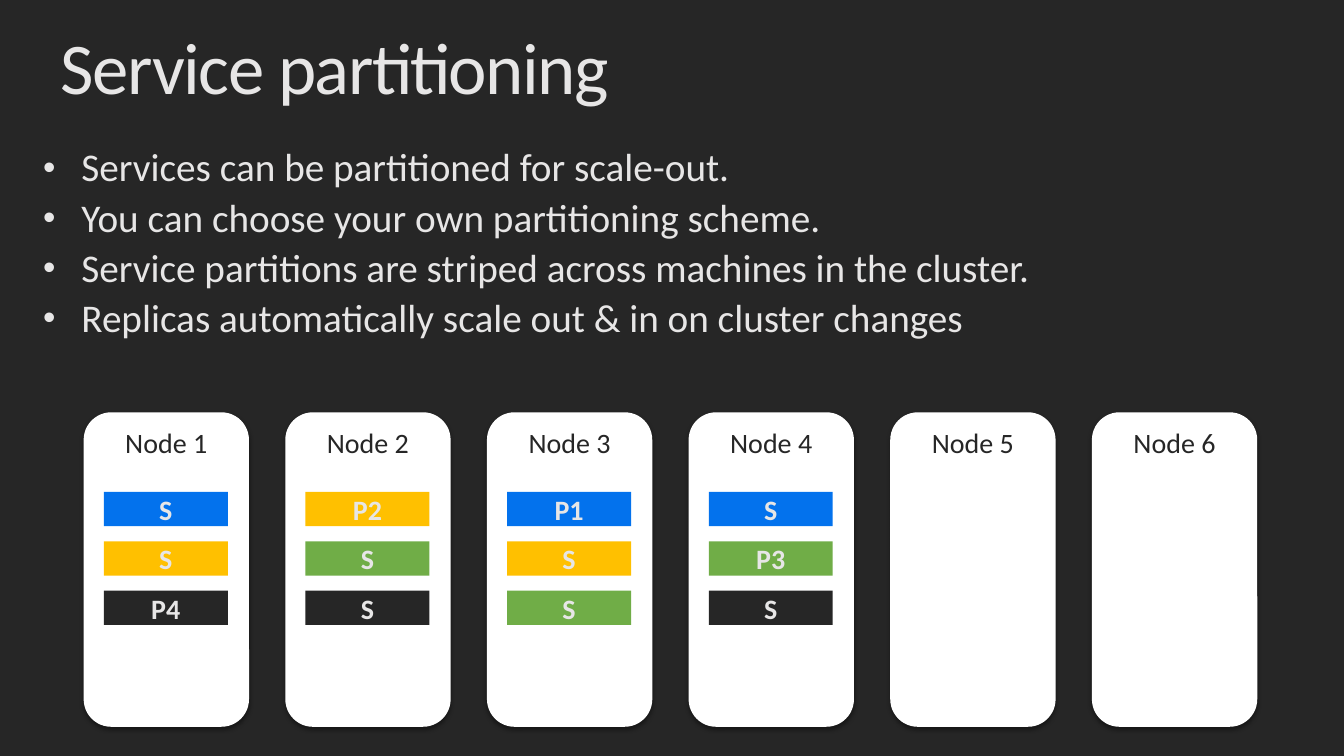
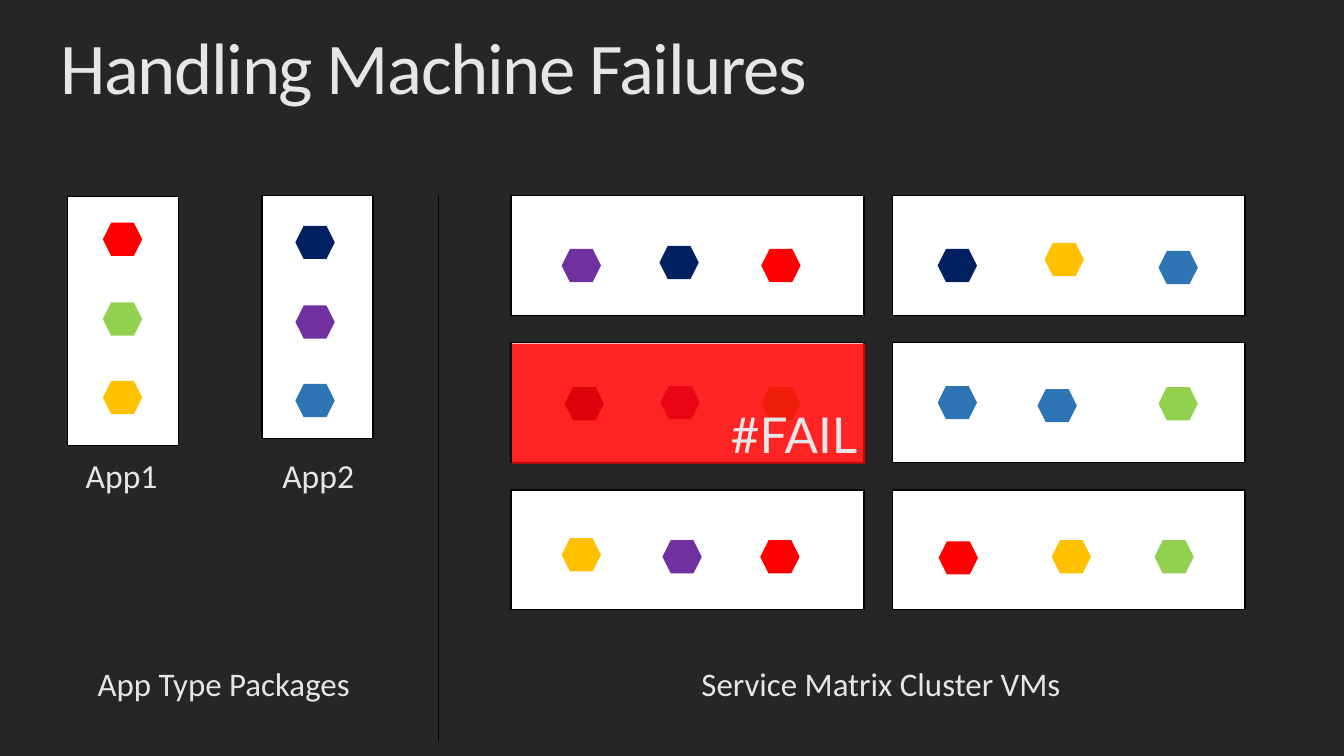
from lxml import etree
from pptx import Presentation
from pptx.dml.color import RGBColor
from pptx.enum import shapes, text
from pptx.oxml import ns
from pptx.util import Inches, Pt

# Shared style
DARK = RGBColor(0x26, 0x26, 0x26)
LIGHT = RGBColor(0xE7, 0xE6, 0xE6)
WHITE = RGBColor(0xFF, 0xFF, 0xFF)
BLACK = RGBColor(0x00, 0x00, 0x00)
RED = RGBColor(0xFF, 0x00, 0x00)
AMBER = RGBColor(0xFF, 0xC0, 0x00)
GREEN = RGBColor(0x70, 0xAD, 0x47)
BRIGHT_BLUE = RGBColor(0x03, 0x72, 0xED)
LIME = RGBColor(0x92, 0xD0, 0x50)
NAVY = RGBColor(0x00, 0x20, 0x60)
PURPLE = RGBColor(0x70, 0x30, 0xA0)
STEEL = RGBColor(0x2E, 0x75, 0xB6)
FONT = "Calibri"
RECTANGLE = shapes.MSO_SHAPE.RECTANGLE
CENTER = text.PP_ALIGN.CENTER

# Content: service partitioning
BULLETS = [
    "Services can be partitioned for scale-out.",
    "You can choose your own partitioning scheme.",
    "Service partitions are striped across machines in the cluster.",
    "Replicas automatically scale out & in on cluster changes",
]
NODES = [
    ("Node 1", [("S", BRIGHT_BLUE), ("S", AMBER), ("P4", DARK)]),
    ("Node 2", [("P2", AMBER), ("S", GREEN), ("S", DARK)]),
    ("Node 3", [("P1", BRIGHT_BLUE), ("S", AMBER), ("S", GREEN)]),
    ("Node 4", [("S", BRIGHT_BLUE), ("P3", GREEN), ("S", DARK)]),
    ("Node 5", []),
    ("Node 6", []),
]

# Content: machine failures; services are (colour, left, top)
APPS = [
    ("App1", (0.67, 1.95, 1.1, 2.47), 0.65,
     [(RED, 1.02, 2.21), (LIME, 1.02, 3.0), (AMBER, 1.02, 3.78)]),
    ("App2", (2.6, 1.94, 1.1, 2.41), 2.6,
     [(NAVY, 2.93, 2.24), (PURPLE, 2.93, 3.03), (STEEL, 2.93, 3.81)]),
]
MACHINES = [  # rows of two machines
    [[(PURPLE, 5.57, 2.47), (NAVY, 6.54, 2.44), (RED, 7.55, 2.47)],
     [(NAVY, 9.3, 2.47), (AMBER, 10.36, 2.41), (STEEL, 11.49, 2.49)]],
    [[(NAVY, 5.6, 3.84), (PURPLE, 6.55, 3.83), (LIME, 7.55, 3.84)],
     [(STEEL, 9.3, 3.83), (STEEL, 10.29, 3.86), (LIME, 11.49, 3.84)]],
    [[(AMBER, 5.57, 5.34), (PURPLE, 6.57, 5.36), (RED, 7.54, 5.36)],
     [(RED, 9.31, 5.37), (AMBER, 10.43, 5.36), (LIME, 11.45, 5.36)]],
]
CAPTIONS = [
    ("App Type Packages", (0.29, 6.47, 3.86, 0.67)),
    ("Service Matrix Cluster VMs", (4.69, 6.47, 8.1, 0.67)),
]
MACHINE_LEFT, MACHINE_TOP = 5.07, 1.94
MACHINE_WIDTH, MACHINE_HEIGHT = 3.5, 1.19
MACHINE_STEP_X, MACHINE_STEP_Y = 3.78, 1.46


def add_xml(parent, tag, **attributes):
    return etree.SubElement(parent, ns.qn(tag), attributes)


def add_run(paragraph, words, size, color=LIGHT, bold=False, font=FONT):
    run = paragraph.add_run()
    run.text = words
    run.font.name = font
    run.font.size = Pt(size)
    run.font.bold = bold
    run.font.color.rgb = color
    return run


def add_box(slide, kind, box, fill, line=None):
    shape = slide.shapes.add_shape(kind, *map(Inches, box))
    shape.shadow.inherit = False
    shape.fill.solid()
    shape.fill.fore_color.rgb = fill
    if line is None:
        shape.line.fill.background()
    else:
        shape.line.color.rgb = line
        shape.line.width = Pt(1)
    return shape


def label_box(shape, words, color, anchor, bold=False):
    shape.text_frame.vertical_anchor = anchor
    paragraph = shape.text_frame.paragraphs[0]
    paragraph.alignment = CENTER
    add_run(paragraph, words, 20, color, bold)


def add_label(slide, words, box, size, align=None, font=FONT):
    frame = slide.shapes.add_textbox(*map(Inches, box)).text_frame
    frame.word_wrap = True
    frame.margin_left = frame.margin_right = Inches(0.2)
    frame.margin_top = frame.margin_bottom = Inches(0.16)
    paragraph = frame.paragraphs[0]
    paragraph.alignment = align
    paragraph.line_spacing = 0.9
    add_run(paragraph, words, size, font=font)


def add_titled_slide(presentation, title):
    slide = presentation.slides.add_slide(presentation.slide_layouts[5])
    shape = slide.shapes.title
    shape.left, shape.top = Inches(0.5), Inches(0.2)
    shape.width, shape.height = Inches(12), Inches(1)
    frame = shape.text_frame
    frame.vertical_anchor = text.MSO_ANCHOR.MIDDLE
    frame.auto_size = text.MSO_AUTO_SIZE.NONE
    paragraph = frame.paragraphs[0]
    paragraph.alignment = text.PP_ALIGN.LEFT
    paragraph.line_spacing = 0.9
    run = add_run(paragraph, title, 52)
    run.font._element.set("spc", "-100")
    return slide


def add_card_shadow(shape):
    effects = shape._element.spPr.find(ns.qn("a:effectLst"))
    shadow = add_xml(effects, "a:outerShdw", blurRad=str(Pt(3)),
                     dist=str(Pt(2)), dir="5400000", rotWithShape="0")
    color = add_xml(shadow, "a:srgbClr", val=str(BLACK))
    add_xml(color, "a:alpha", val="40000")


def add_bullets(slide):
    box = slide.shapes.add_textbox(Inches(0.33), Inches(1.42), Inches(12.67), Inches(2))
    frame = box.text_frame
    frame.word_wrap = True
    for index, words in enumerate(BULLETS):
        paragraph = frame.add_paragraph() if index else frame.paragraphs[0]
        paragraph.line_spacing = 0.9
        if index:
            paragraph.space_before = Pt(5.6)
        properties = paragraph._p.get_or_add_pPr()
        properties.set("marL", str(Inches(0.38)))
        properties.set("indent", str(Inches(-0.38)))
        add_xml(properties, "a:buSzPct", val="90000")
        add_xml(properties, "a:buFont", typeface="Arial")
        add_xml(properties, "a:buChar", char="•")
        add_run(paragraph, words, 28)


def build_partitioning(presentation):
    slide = add_titled_slide(presentation, "Service partitioning")
    add_bullets(slide)
    # Nodes with their replicas
    for column, (name, replicas) in enumerate(NODES):
        left = 0.83 + 2 * column
        card = add_box(slide, shapes.MSO_SHAPE.ROUNDED_RECTANGLE,
                       (left, 4.09, 1.64, 3.12), WHITE)
        add_card_shadow(card)
        label_box(card, name, DARK, text.MSO_ANCHOR.TOP)
        for row, (role, color) in enumerate(replicas):
            replica = add_box(slide, RECTANGLE,
                              (left + 0.2, 4.88 + 0.49 * row, 1.23, 0.34), color)
            label_box(replica, role, LIGHT, text.MSO_ANCHOR.MIDDLE, bold=True)


def add_services(slide, services):
    for color, left, top in services:
        add_box(slide, shapes.MSO_SHAPE.HEXAGON, (left, top, 0.39, 0.33), color)


def build_failures(presentation):
    slide = add_titled_slide(presentation, "Handling Machine Failures")
    # Application packages
    for name, box, label_left, services in APPS:
        add_box(slide, RECTANGLE, box, WHITE, BLACK)
        add_services(slide, services)
        add_label(slide, name, (label_left, 4.4, 1.28, 0.67), 24)
    # Cluster machines
    for row, machines in enumerate(MACHINES):
        for column, services in enumerate(machines):
            add_box(slide, RECTANGLE,
                    (MACHINE_LEFT + column * MACHINE_STEP_X,
                     MACHINE_TOP + row * MACHINE_STEP_Y,
                     MACHINE_WIDTH, MACHINE_HEIGHT), WHITE, BLACK)
            add_services(slide, services)
    # Divider and captions
    divider = slide.shapes.add_connector(
        shapes.MSO_CONNECTOR.STRAIGHT,
        Inches(4.35), Inches(1.94), Inches(4.35), Inches(7.35))
    divider.line.color.rgb = BLACK
    divider.line.width = Pt(1)
    add_xml(divider._element.spPr, "a:effectLst")
    for words, box in CAPTIONS:
        add_label(slide, words, box, 23.5, CENTER)
    # Failed machine
    failure = add_box(slide, RECTANGLE,
                      (5.08, 3.41, MACHINE_WIDTH, MACHINE_HEIGHT), RED)
    color = failure._element.spPr.find(ns.qn("a:solidFill"))[0]
    add_xml(color, "a:alpha", val="86000")
    add_label(slide, "#FAIL", (7.05, 3.92, 1.84, 0.85), 35.3, font="Lato")


def main():
    presentation = Presentation()
    presentation.slide_width = Inches(13.33)
    presentation.slide_height = Inches(7.5)
    background = presentation.slide_master.background.fill
    background.solid()
    background.fore_color.rgb = DARK
    build_partitioning(presentation)
    build_failures(presentation)
    presentation.save("out.pptx")


if __name__ == "__main__":
    main()
